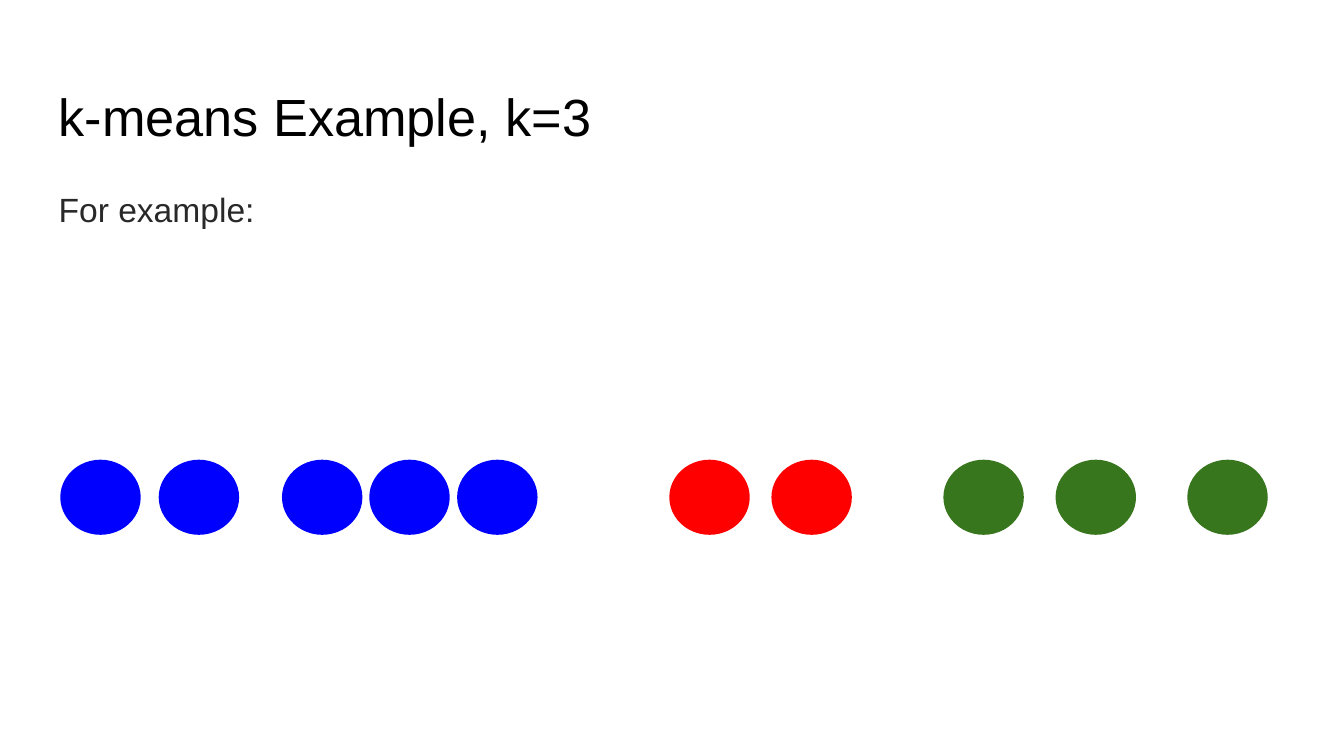
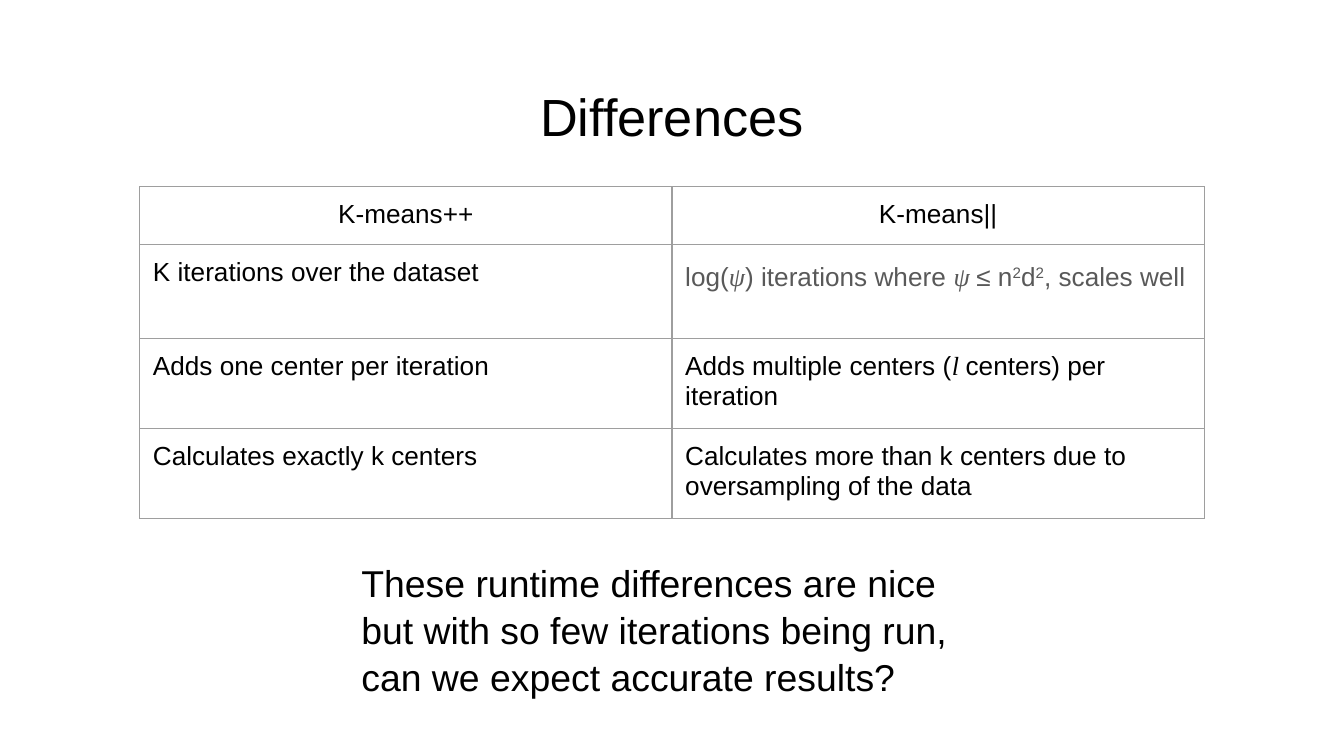
import pptx
import pptx.dml.color
import pptx.enum.shapes
import pptx.enum.text
import pptx.oxml.ns
import pptx.util
from lxml import etree

Cm = pptx.util.Cm
RGBColor = pptx.dml.color.RGBColor
ALIGN = pptx.enum.text.PP_ALIGN

BLACK = RGBColor(0x00, 0x00, 0x00)
CHARCOAL = RGBColor(0x29, 0x29, 0x29)
GREY = RGBColor(0x59, 0x59, 0x59)
BORDER = RGBColor(0x9E, 0x9E, 0x9E)
BLUE = RGBColor(0x00, 0x00, 0xFF)
RED = RGBColor(0xFF, 0x00, 0x00)
GREEN = RGBColor(0x38, 0x76, 0x1D)

FONT, MATH_FONT = "Arial", "Times New Roman"
INSET = Cm(0.25)


class Painter:
    """Holds the deck, its style and the current slide."""

    def __init__(self):
        self.deck = pptx.Presentation()
        self.deck.slide_width, self.deck.slide_height = Cm(25.4), Cm(14.29)
        self.page = None

    def new_page(self, title, align=ALIGN.LEFT):
        self.page = self.deck.slides.add_slide(self.deck.slide_layouts[6])
        self.text(0.86, 1.24, 23.67, 1.6, title, 28, align=align, spacing=1.08)

    def fill_paragraph(self, para, runs, size, color=BLACK, align=ALIGN.LEFT,
                       spacing=None, after=None):
        """Runs are (text, kind) pairs; kind is "", "math" or "super"."""
        para.alignment = align
        if spacing:
            para.line_spacing = spacing
        if after:
            para.space_after = pptx.util.Pt(after)
        if isinstance(runs, str):
            runs = [(runs, "")]
        for text, kind in runs:
            span = para.add_run()
            span.text = text
            span.font.size = pptx.util.Pt(size)
            span.font.color.rgb = color
            span.font.name = MATH_FONT if kind == "math" else FONT
            span.font.italic = kind == "math"
            if kind == "super":
                span.font._element.set("baseline", "30000")

    def text(self, left, top, width, height, runs, size, **style):
        box = self.page.shapes.add_textbox(Cm(left), Cm(top), Cm(width), Cm(height))
        frame = box.text_frame
        frame.word_wrap = True
        frame.margin_left = frame.margin_right = INSET
        frame.margin_top = frame.margin_bottom = INSET
        self.fill_paragraph(frame.paragraphs[0], runs, size, **style)

    def ellipse(self, left, top, width, height, color):
        dot = self.page.shapes.add_shape(
            pptx.enum.shapes.MSO_SHAPE.OVAL, Cm(left), Cm(top), Cm(width), Cm(height))
        dot.shadow.inherit = False
        dot.fill.solid()
        dot.fill.fore_color.rgb = color
        dot.line.fill.background()

    def border(self, cell):
        props = cell._tc.get_or_add_tcPr()
        for position, side in enumerate(("a:lnL", "a:lnR", "a:lnT", "a:lnB")):
            line = etree.Element(pptx.oxml.ns.qn(side), w=str(pptx.util.Pt(0.75)))
            solid = etree.SubElement(line, pptx.oxml.ns.qn("a:solidFill"))
            etree.SubElement(solid, pptx.oxml.ns.qn("a:srgbClr"), val=str(BORDER))
            props.insert(position, line)

    def table(self, left, top, column_width, heights, rows, size):
        """Each cell is (runs, style)."""
        columns = len(rows[0])
        grid = self.page.shapes.add_table(
            len(rows), columns, Cm(left), Cm(top),
            Cm(column_width * columns), Cm(sum(heights))).table
        grid.first_row = grid.horz_banding = False
        for column in grid.columns:
            column.width = Cm(column_width)
        for r, (height, row) in enumerate(zip(heights, rows)):
            grid.rows[r].height = Cm(height)
            for c, (runs, style) in enumerate(row):
                cell = grid.cell(r, c)
                cell.margin_left = cell.margin_right = INSET
                cell.margin_top = cell.margin_bottom = INSET
                cell.fill.background()
                self.border(cell)
                self.fill_paragraph(cell.text_frame.paragraphs[0], runs, size, **style)


def example_slide(painter):
    painter.new_page("k-means Example, k=3")
    painter.text(0.86, 3.2, 23.67, 9.5, "For example:", 18,
                 color=CHARCOAL, spacing=1.15, after=16)
    # Points on a line, coloured by cluster
    clusters = {
        BLUE: (1.14, 3.0, 5.33, 6.98, 8.64),
        RED: (12.65, 14.58),
        GREEN: (17.83, 19.95, 22.44),
    }
    for color, lefts in clusters.items():
        for left in lefts:
            painter.ellipse(left, 8.69, 1.52, 1.42, color)


def differences_slide(painter):
    painter.new_page("Differences", ALIGN.CENTER)
    # Comparison table
    header = {"align": ALIGN.CENTER}
    formula = {"color": GREY, "spacing": 1.15, "after": 16}
    iterations = [("log(", ""), ("ψ", "math"), (") iterations where ", ""),
                  ("ψ ", "math"), ("≤ n", ""), ("2", "super"), ("d", ""),
                  ("2", "super"), (", scales well", "")]
    centers = [("Adds multiple centers (", ""), ("l ", "math"),
               ("centers) per iteration", "")]
    rows = [
        [("K-means++", header), ("K-means||", header)],
        [("K iterations over the dataset", {}), (iterations, formula)],
        [("Adds one center per iteration", {}), (centers, {})],
        [("Calculates exactly k centers", {}),
         ("Calculates more than k centers due to oversampling of the data", {})],
    ]
    painter.table(2.64, 3.53, 10.06, (1.09, 1.78, 1.7, 1.7), rows, 14)
    # Closing question
    painter.text(6.58, 10.29, 12.24, 2.9,
                 "These runtime differences are nice but with so few iterations "
                 "being run, can we expect accurate results?", 20, spacing=1.05)


def main():
    painter = Painter()
    example_slide(painter)
    differences_slide(painter)
    painter.deck.save("out.pptx")


if __name__ == "__main__":
    main()
